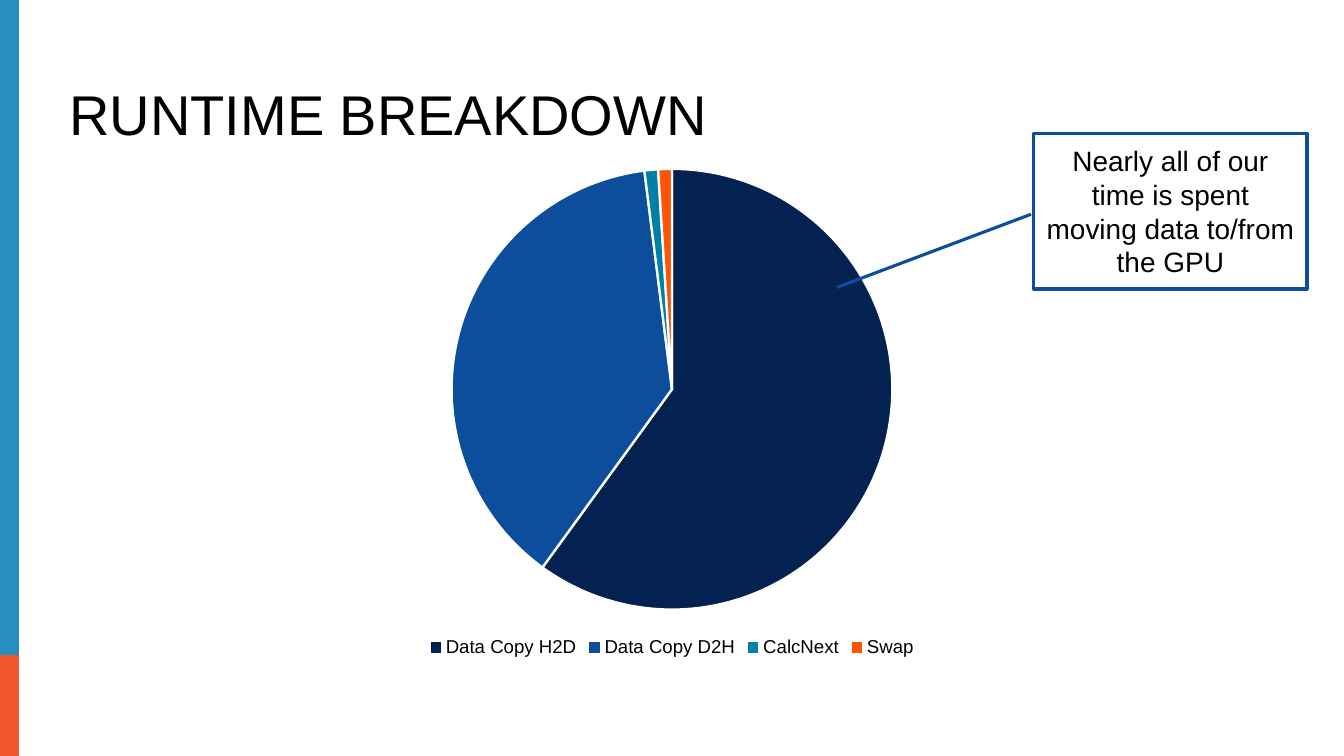
from pptx import Presentation
from pptx.chart.data import CategoryChartData
from pptx.dml.color import RGBColor
from pptx.enum.chart import XL_CHART_TYPE, XL_LEGEND_POSITION
from pptx.enum.shapes import MSO_SHAPE
from pptx.enum.text import MSO_ANCHOR, PP_ALIGN
from pptx.util import Inches, Pt

PIE = XL_CHART_TYPE.PIE
LEGEND_BOTTOM = XL_LEGEND_POSITION.BOTTOM
RECTANGLE = MSO_SHAPE.RECTANGLE
CALLOUT = MSO_SHAPE.LINE_CALLOUT_1
MIDDLE, BOTTOM = MSO_ANCHOR.MIDDLE, MSO_ANCHOR.BOTTOM
LEFT, CENTER = PP_ALIGN.LEFT, PP_ALIGN.CENTER

FONT = "Arial"
BLACK, WHITE, BLUE = "000000", "FFFFFF", "0C4E9B"
TITLE = "RUNTIME BREAKDOWN"
REMARK = "Nearly all of our time is spent moving data to/from the GPU"
RUNTIME = [  # step, share of runtime, colour
    ("Data Copy H2D", 60, "042251"),
    ("Data Copy D2H", 38, BLUE),
    ("CalcNext", 1, "0080A7"),
    ("Swap", 1, "FF5400"),
]
SIDE_BARS = [  # top, height, colour
    (0, 5.85, "298EC2"),
    (5.85, 0.9, "F1562D"),
]
BAR_WIDTH = 0.17
POINTER = (0.52, -0.01, 0.99, -0.72)  # y, x of each end, as shares of the box


def color(code):
    return RGBColor.from_string(code)


def paint(fill, code):
    fill.solid()
    fill.fore_color.rgb = color(code)


def style_font(font, size):
    font.name = FONT
    font.size = Pt(size)
    font.color.rgb = color(BLACK)


def write(shape, text, size, align, anchor):
    frame = shape.text_frame
    frame.text = text
    frame.word_wrap = True
    frame.vertical_anchor = anchor
    paragraph = frame.paragraphs[0]
    paragraph.alignment = align
    style_font(paragraph.font, size)
    return paragraph


def add_shape(page, kind, box, fill):
    shape = page.shapes.add_shape(kind, *map(Inches, box))
    shape.shadow.inherit = False
    paint(shape.fill, fill)
    return shape


def add_title(page):
    title = page.shapes.title
    title.left, title.top, title.width, title.height = map(
        Inches, (0.52, 0.69, 6.48, 0.68))
    write(title, TITLE, 36, LEFT, BOTTOM).line_spacing = 0.9


def add_pie(page):
    data = CategoryChartData()
    data.categories = [step for step, _, _ in RUNTIME]
    data.add_series("Series 1", [share for _, share, _ in RUNTIME])
    box = map(Inches, (2.77, 1.37, 6.46, 4.54))
    chart = page.shapes.add_chart(PIE, *box, data).chart
    chart.has_title = False
    style_font(chart.font, 10)
    chart.has_legend = True
    chart.legend.position = LEGEND_BOTTOM
    chart.legend.include_in_layout = False
    style_font(chart.legend.font, 12)
    plot = chart.plots[0]
    plot.vary_by_categories = True
    for index, (_, _, code) in enumerate(RUNTIME):
        piece = plot.series[0].points[index].format
        paint(piece.fill, code)
        piece.line.color.rgb = color(WHITE)
        piece.line.width = Pt(1.5)


def add_callout(page):
    callout = add_shape(page, CALLOUT, (9.23, 1.19, 2.44, 1.39), WHITE)
    for index, value in enumerate(POINTER):
        callout.adjustments[index] = value
    callout.line.color.rgb = color(BLUE)
    callout.line.width = Pt(2)
    write(callout, REMARK, 18, CENTER, MIDDLE)


def main():
    deck = Presentation()
    deck.slide_width, deck.slide_height = Inches(12), Inches(6.75)
    page = deck.slides.add_slide(deck.slide_layouts[5])
    for top, height, code in SIDE_BARS:
        bar = add_shape(page, RECTANGLE, (0, top, BAR_WIDTH, height), code)
        bar.line.fill.background()
    add_title(page)
    add_pie(page)
    add_callout(page)
    deck.save("out.pptx")


if __name__ == "__main__":
    main()
